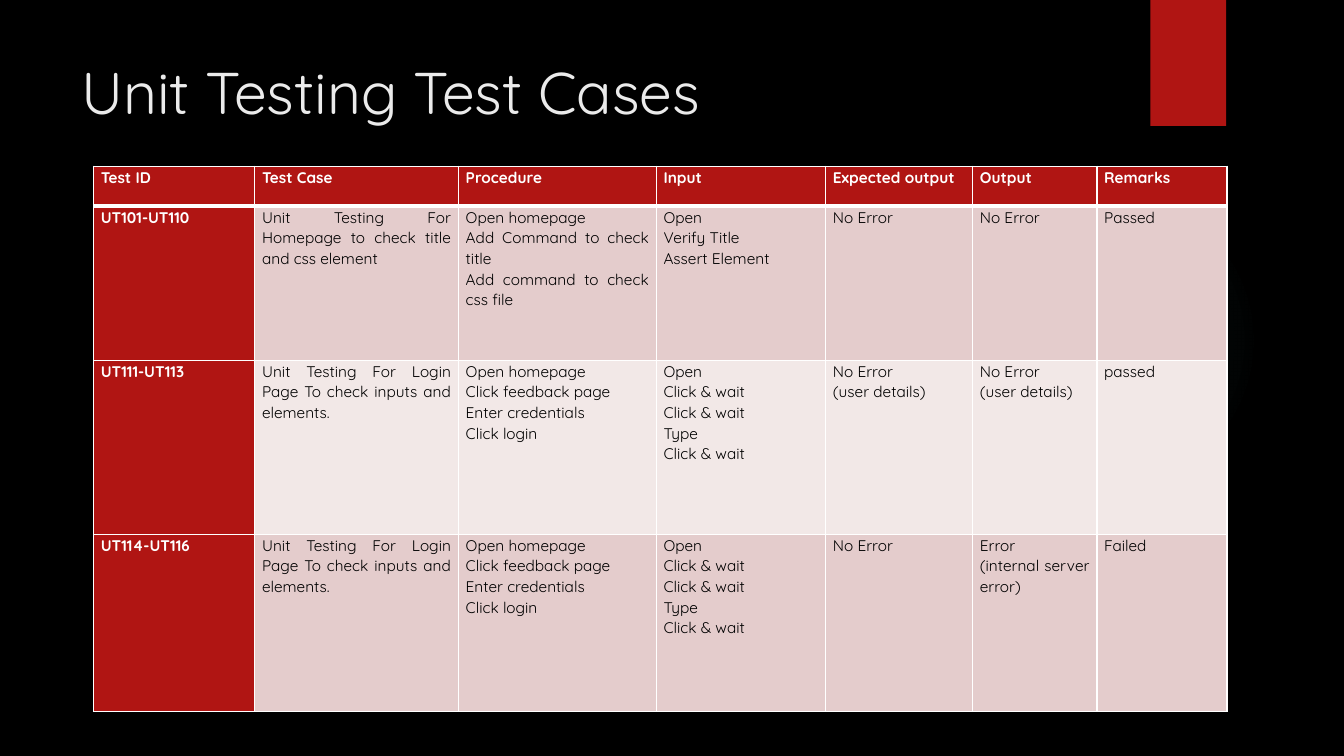
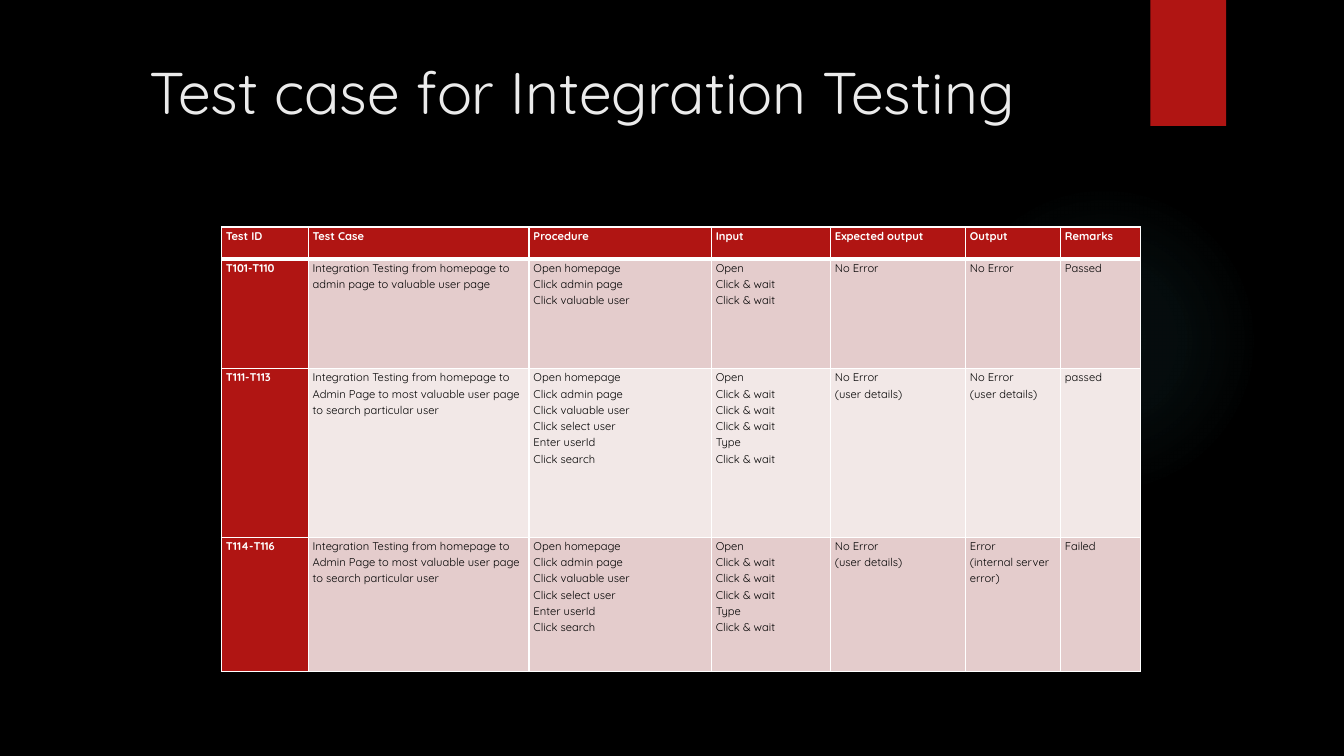
from dataclasses import dataclass

from lxml import etree
from pptx import Presentation
from pptx import util as u
from pptx.dml import color
from pptx.enum import shapes, text
from pptx.oxml import ns


@dataclass(frozen=True)
class Theme:
    font: str = "Quicksand"
    background: str = "000000"
    accent: str = "B01513"
    glow: str = "50B9C1"
    title: str = "EBEBEB"
    strong: str = "FFFFFF"
    body: str = "000000"
    grid: str = "FFFFFF"
    bands: tuple = ("E4CCCC", "F2E8E7")
    title_size: float = 42
    large_size: float = 11
    small_size: float = 8
    grid_width: float = 1
    header_rule: float = 3


THEME = Theme()
LEFT = text.PP_ALIGN.LEFT
CENTER = text.PP_ALIGN.CENTER
JUSTIFY = text.PP_ALIGN.JUSTIFY

HEADER = ("Test ID", "Test Case", "Procedure", "Input",
          "Expected output", "Output", "Remarks")
DETAILS = "No Error\n(user details)"
SERVER_ERROR = "Error\n(internal server error)"

LOGIN_CASE = "Unit Testing For Login Page To check inputs and elements."
LOGIN_STEPS = "Open homepage\nClick feedback page\nEnter credentials\nClick login"
LOGIN_INPUT = "Open\nClick & wait\nClick & wait\nType\nClick & wait"
UNIT_ROWS = (
    HEADER,
    ("UT101-UT110", "Unit Testing For Homepage to check title and css element",
     "Open homepage\nAdd Command to check title\nAdd command to check css file",
     "Open\nVerify Title\nAssert Element", "No Error", "No Error", "Passed"),
    ("UT111-UT113", LOGIN_CASE, LOGIN_STEPS, LOGIN_INPUT, DETAILS, DETAILS, "passed"),
    ("UT114-UT116", LOGIN_CASE, LOGIN_STEPS, LOGIN_INPUT, "No Error", SERVER_ERROR, "Failed"),
)

SEARCH_CASE = ("Integration Testing from homepage to Admin Page to most valuable "
               "user page to search particular user")
ADMIN_STEPS = "Open homepage\nClick admin page\nClick valuable user"
SEARCH_STEPS = ADMIN_STEPS + "\nClick select user\nEnter userId\nClick search"
ADMIN_INPUT = "Open\nClick & wait\nClick & wait"
SEARCH_INPUT = ADMIN_INPUT + "\nClick & wait\nType\nClick & wait"
INTEGRATION_ROWS = (
    HEADER,
    ("T101-T110", "Integration Testing from homepage to admin page to valuable user page",
     ADMIN_STEPS, ADMIN_INPUT, "No Error", "No Error", "Passed"),
    ("T111-T113", SEARCH_CASE, SEARCH_STEPS, SEARCH_INPUT, DETAILS, DETAILS, "passed"),
    ("T114-T116", SEARCH_CASE, SEARCH_STEPS, SEARCH_INPUT, DETAILS, SERVER_ERROR, "Failed"),
)


def paint(fill, value):
    fill.solid()
    fill.fore_color.rgb = color.RGBColor.from_string(value)


def write(frame, content, size, ink, bold=False, align=LEFT, spacing=1.0):
    frame.word_wrap = True
    for index, line in enumerate(content.split("\n")):
        paragraph = frame.add_paragraph() if index else frame.paragraphs[0]
        paragraph.alignment = align
        paragraph.line_spacing = spacing
        run = paragraph.add_run()
        run.text = line
        run.font.name = THEME.font
        run.font.size = u.Pt(size)
        run.font.bold = bold
        run.font.color.rgb = color.RGBColor.from_string(ink)


def add_color(parent, value, alpha=None):
    element = etree.SubElement(parent, ns.qn("a:srgbClr"), val=value)
    if alpha is not None:
        etree.SubElement(element, ns.qn("a:alpha"), val=str(alpha * 1000))


def set_borders(cell, widths):
    properties = cell._tc.get_or_add_tcPr()
    for index, (side, width) in enumerate(widths.items()):
        line = etree.Element(ns.qn(f"a:ln{side}"), w=str(u.Pt(width)))
        add_color(etree.SubElement(line, ns.qn("a:solidFill")), THEME.grid)
        properties.insert(index, line)


class Deck:
    def __init__(self):
        self.presentation = Presentation()
        self.presentation.slide_width = u.Pt(960)
        self.presentation.slide_height = u.Pt(540)
        paint(self.presentation.slide_master.background.fill, THEME.background)
        self.slide = None

    def add_slide(self, title, align=LEFT):
        self.slide = self.presentation.slides.add_slide(self.presentation.slide_layouts[6])
        self.add_glow()
        ribbon = self.add_shape(shapes.MSO_SHAPE.RECTANGLE, 821.8, 0, 54, 90)
        paint(ribbon.fill, THEME.accent)
        self.add_title(title, align)

    def add_shape(self, kind, left, top, width, height):
        shape = self.slide.shapes.add_shape(kind, u.Pt(left), u.Pt(top), u.Pt(width), u.Pt(height))
        shape.shadow.inherit = False
        shape.line.fill.background()
        return shape

    def add_glow(self):
        shape = self.add_shape(shapes.MSO_SHAPE.OVAL, 677.5, 131.8, 222, 222)
        gradient = etree.Element(ns.qn("a:gradFill"), rotWithShape="1")
        stops = etree.SubElement(gradient, ns.qn("a:gsLst"))
        for position, alpha in ((0, 7), (36, 6), (69, 0)):
            stop = etree.SubElement(stops, ns.qn("a:gs"), pos=str(position * 1000))
            add_color(stop, THEME.glow, alpha)
        circle = etree.SubElement(gradient, ns.qn("a:path"), path="circle")
        etree.SubElement(circle, ns.qn("a:fillToRect"), l="50000", t="50000", r="50000", b="50000")
        shape._element.spPr.find(ns.qn("a:prstGeom")).addnext(gradient)

    def add_title(self, content, align):
        box = self.slide.shapes.add_textbox(u.Pt(51), u.Pt(36), u.Pt(741), u.Pt(110))
        write(box.text_frame, content, THEME.title_size, THEME.title, align=align)

    def add_table(self, rows, left, top, widths, heights, margin, **style):
        table = self.slide.shapes.add_table(
            len(rows), len(widths), u.Pt(left), u.Pt(top),
            u.Pt(sum(widths)), u.Pt(sum(heights))).table
        for column, width in zip(table.columns, widths):
            column.width = u.Pt(width)
        for row, height in zip(table.rows, heights):
            row.height = u.Pt(height)
        for row_index, row in enumerate(rows):
            for column_index, content in enumerate(row):
                cell = table.cell(row_index, column_index)
                cell.margin_left = cell.margin_right = u.Pt(margin)
                cell.margin_top = cell.margin_bottom = 0
                strong = row_index == 0 or column_index == 0
                band = THEME.bands[(row_index - 1) % 2]
                paint(cell.fill, THEME.accent if strong else band)
                set_borders(cell, {
                    "L": THEME.grid_width,
                    "R": THEME.grid_width,
                    "T": THEME.header_rule if row_index == 1 else THEME.grid_width,
                    "B": THEME.header_rule if row_index == 0 else THEME.grid_width,
                })
                write(cell.text_frame, content, bold=strong,
                      ink=THEME.strong if strong else THEME.body, **style)


def main():
    deck = Deck()
    deck.add_slide("Unit Testing Test Cases")
    deck.add_table(UNIT_ROWS, 66.8, 118.8,
                   widths=(115.2, 145.5, 141.3, 121, 105, 88.8, 93),
                   heights=(28.6, 110, 124.4, 126.4), margin=5.2,
                   size=THEME.large_size, align=JUSTIFY, spacing=1.07)
    deck.add_slide("Test case for Integration Testing ", CENTER)
    deck.add_table(INTEGRATION_ROWS, 158.2, 162.2,
                   widths=(62, 157.7, 130.3, 85, 96.5, 67.9, 57),
                   heights=(22.9, 78.2, 120.4, 95.8), margin=3.2,
                   size=THEME.small_size, spacing=1.15)
    deck.presentation.save("out.pptx")


if __name__ == "__main__":
    main()
